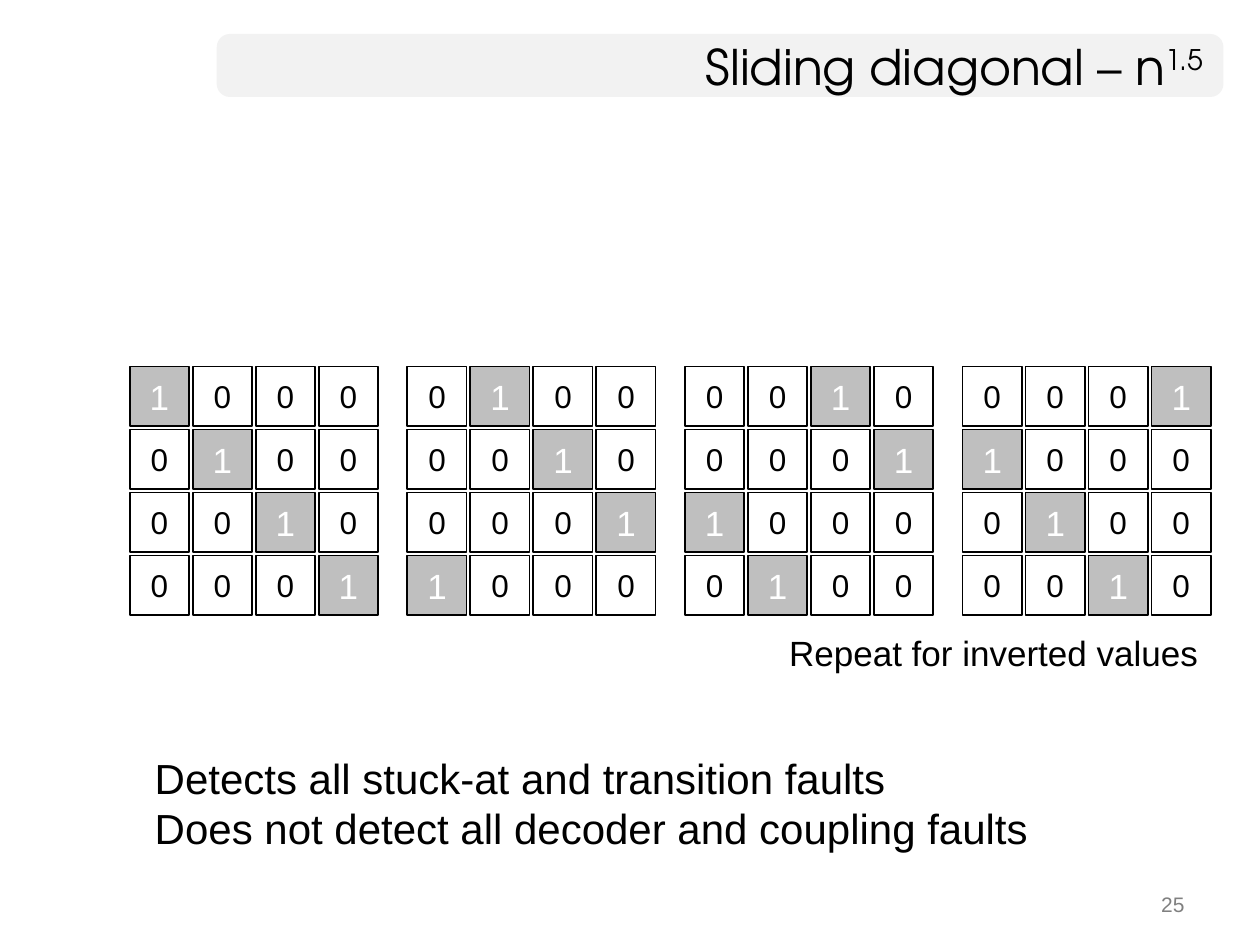
from dataclasses import dataclass
from itertools import product

from pptx import Presentation
from pptx.dml.color import RGBColor
from pptx.enum.shapes import MSO_SHAPE as Shape
from pptx.enum.text import MSO_ANCHOR as Anchor, MSO_AUTO_SIZE as AutoSize, PP_ALIGN as Align
from pptx.util import Inches, Pt


@dataclass(frozen=True)
class Theme:
    body_font: str = "Arial"
    title_font: str = "TeX Gyre Adventor"
    ink: str = "000000"
    inverse: str = "FFFFFF"
    bar: str = "F2F2F2"
    marked: str = "BFBFBF"
    muted: str = "808080"
    title_size: int = 28
    body_size: int = 24
    note_size: int = 20
    one_size: int = 20
    zero_size: int = 18
    page_size: int = 12


THEME = Theme()

# Memory grids, in inches
ORDER = 4
FIRST_LEFT, LAST_LEFT, GRID_TOP = 1.03, 7.64, 2.91
GRID_STEP = (LAST_LEFT - FIRST_LEFT) / (ORDER - 1)
CELL_STEP, CELL_SIZE = 0.5, 0.47
TITLE_LEFT, TITLE_TOP, TITLE_HEIGHT = 1.72, 0.27, 0.5


def set_all(target, values):
    for name, value in values.items():
        setattr(target, name, value)


def place(box, left, top, width, height):
    set_all(box, {"left": Inches(left), "top": Inches(top),
                  "width": Inches(width), "height": Inches(height)})


def write(box, lines, size, color=THEME.ink, font=THEME.body_font, align=Align.LEFT, **frame_values):
    """Fill a box; each line is a list of text spans."""
    frame = box.text_frame
    set_all(frame, {"word_wrap": True, "auto_size": AutoSize.NONE, **frame_values})
    for index, spans in enumerate(lines):
        para = frame.add_paragraph() if index else frame.paragraphs[0]
        para.alignment = align
        for text in spans:
            span = para.add_run()
            span.text = text
            set_all(span.font, {"name": font, "size": Pt(size)})
            span.font.color.rgb = RGBColor.from_string(color)


def add_block(shapes, kind, area, fill=None, line=None):
    block = shapes.add_shape(kind, *map(Inches, area))
    block.shadow.inherit = False
    if fill:
        block.fill.solid()
        block.fill.fore_color.rgb = RGBColor.from_string(fill)
    else:
        block.fill.background()
    if line:
        block.line.color.rgb = RGBColor.from_string(line)
        block.line.width = Pt(1)
    else:
        block.line.fill.background()
    return block


def add_text(slide, area, lines, size, **values):
    box = slide.shapes.add_textbox(*map(Inches, area))
    write(box, lines, size, **values)


def add_title(slide):
    title = slide.shapes.title
    place(title, TITLE_LEFT, TITLE_TOP, 7.93, TITLE_HEIGHT)
    write(title, [["Sliding diagonal – n", "1.5"]], THEME.title_size, font=THEME.title_font,
          align=Align.RIGHT, vertical_anchor=Anchor.MIDDLE)
    # Raise the exponent
    title.element.xpath(".//a:rPr")[-1].set("baseline", "30000")
    # Rounded bar behind the title
    bar = add_block(slide.shapes, Shape.ROUNDED_RECTANGLE,
                    (TITLE_LEFT, TITLE_TOP, 7.99, TITLE_HEIGHT), fill=THEME.bar)
    bar.adjustments[0] = 0.21
    title.element.addprevious(bar.element)


def add_grid(slide, shift):
    """Draw one grid whose diagonal of ones has moved right by shift cells."""
    group = slide.shapes.add_group_shape()
    left = FIRST_LEFT + shift * GRID_STEP
    for row, column in product(range(ORDER), repeat=2):
        is_one = column == (row + shift) % ORDER
        area = (left + column * CELL_STEP, GRID_TOP + row * CELL_STEP, CELL_SIZE, CELL_SIZE)
        cell = add_block(group.shapes, Shape.RECTANGLE, area,
                         fill=THEME.marked if is_one else None, line=THEME.ink)
        write(cell, [["1" if is_one else "0"]],
              THEME.one_size if is_one else THEME.zero_size,
              color=THEME.inverse if is_one else THEME.ink,
              align=Align.CENTER, vertical_anchor=Anchor.MIDDLE, word_wrap=False)


def main():
    deck = Presentation()
    set_all(deck, {"slide_width": Inches(10), "slide_height": Inches(7.5)})
    slide = deck.slides.add_slide(deck.slide_layouts[5])

    add_title(slide)
    for shift in range(ORDER):
        add_grid(slide, shift)

    # Note, conclusions and page number
    add_text(slide, (6.04, 4.96, 3.57, 0.44), [["Repeat for inverted values"]],
             THEME.note_size, align=Align.RIGHT, auto_size=AutoSize.SHAPE_TO_FIT_TEXT)
    add_text(slide, (1.13, 5.92, 7.2, 0.91),
             [["Detects all stuck-at and transition faults"],
              ["Does not detect all decoder and coupling faults"]],
             THEME.body_size, word_wrap=False, auto_size=AutoSize.SHAPE_TO_FIT_TEXT)
    add_text(slide, (7.17, 7, 2.33, 0.35), [["25"]], THEME.page_size, color=THEME.muted,
             align=Align.RIGHT, vertical_anchor=Anchor.MIDDLE)

    deck.save("out.pptx")


if __name__ == "__main__":
    main()
